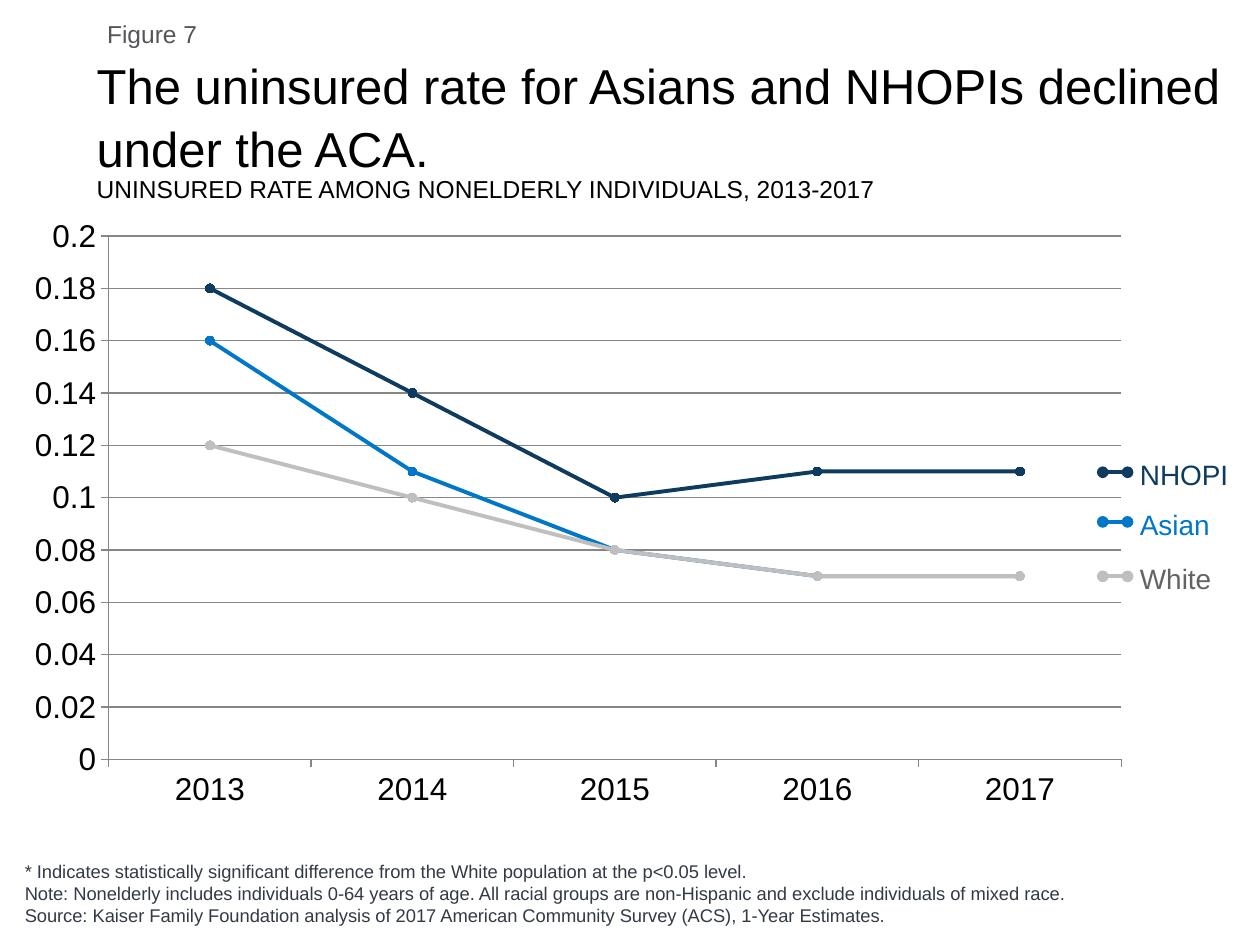
from lxml.etree import SubElement
from pptx import Presentation
from pptx.chart.data import CategoryChartData
from pptx.dml.color import RGBColor
from pptx.enum.chart import XL_CHART_TYPE, XL_MARKER_STYLE, XL_TICK_MARK
from pptx.enum.shapes import MSO_CONNECTOR
from pptx.enum.text import MSO_ANCHOR
from pptx.oxml.ns import qn
from pptx.util import Cm, Pt

FONT = "Arial"
COLORS = {
    "text": "000000", "figure": "55565A", "notes": "323A45", "axis": "868686",
    "asian": "0077C8", "nhopi": "0E3B5E", "white": "BFBFBF", "white_label": "636363",
}
YEARS = ["2013", "2014", "2015", "2016", "2017"]
SERIES = [
    ("Series 1", "asian", [0.16, 0.11, 0.08, 0.07, 0.07]),
    ("Series 2", "nhopi", [0.18, 0.14, 0.1, 0.11, 0.11]),
    ("Series 3", "white", [0.12, 0.1, 0.08, 0.07, 0.07]),
]
# Label, line colour, label colour, line height within the key, label width
KEY = [
    ("NHOPI", "nhopi", "nhopi", 0.42, 2.54),
    ("Asian", "asian", "asian", 1.42, 2.06),
    ("White", "white", "white_label", 2.52, 2.34),
]
NOTES = [
    "* Indicates statistically significant difference from the White population at the p<0.05 level.",
    "Note: Nonelderly includes individuals 0-64 years of age. All racial groups are non-Hispanic "
    "and exclude individuals of mixed race.",
    "Source: Kaiser Family Foundation analysis of 2017 American Community Survey (ACS), "
    "1-Year Estimates.",
]


def rgb(name):
    return RGBColor.from_string(COLORS[name])


def add_text(slide, box, lines, size, color, anchor=MSO_ANCHOR.TOP, spacing=1.0):
    shape = slide.shapes.add_textbox(*(Cm(value) for value in box))
    frame = shape.text_frame
    frame.word_wrap = True
    frame.vertical_anchor = anchor
    for index, line in enumerate(lines):
        paragraph = frame.add_paragraph() if index else frame.paragraphs[0]
        paragraph.line_spacing = spacing
        run = paragraph.add_run()
        run.text = line
        run.font.name = FONT
        run.font.size = Pt(size)
        run.font.color.rgb = rgb(color)


def add_header(slide, left, top):
    add_text(slide, (left + 0.21, top, 23.24, 0.86), ["Figure 7"], 14, "figure")
    add_text(slide, (left, top + 0.66, 23.44, 2.54),
             ["The uninsured rate for Asians and NHOPIs declined under the ACA."],
             28, "text", spacing=1.07)
    add_text(slide, (left, top + 3.13, 22.02, 0.86),
             ["UNINSURED RATE AMONG NONELDERLY INDIVIDUALS, 2013-2017"], 14, "text")


def set_plot_layout(chart, **fractions):
    """Fix the inner plot area as fractions of the chart."""
    plot_area = chart._chartSpace.chart.plotArea
    for old in plot_area.findall(qn("c:layout")):
        plot_area.remove(old)
    layout = SubElement(plot_area, qn("c:layout"))
    plot_area.insert(0, layout)
    manual = SubElement(layout, qn("c:manualLayout"))
    settings = {"layoutTarget": "inner", "xMode": "edge", "yMode": "edge", **fractions}
    for tag, value in settings.items():
        SubElement(manual, qn(f"c:{tag}")).set("val", str(value))


def style_line(line, color, width):
    line.color.rgb = rgb(color)
    line.width = Pt(width)


def add_rate_chart(slide, box):
    data = CategoryChartData()
    data.categories = YEARS
    for name, _, values in SERIES:
        data.add_series(name, values)
    chart = slide.shapes.add_chart(
        XL_CHART_TYPE.LINE_MARKERS, *(Cm(value) for value in box), data).chart
    chart.has_legend = False
    chart.has_title = False
    chart.font.name = FONT
    chart.font.size = Pt(18)
    chart.font.color.rgb = rgb("text")
    set_plot_layout(chart, x=0.085, y=0.05, w=0.895, h=0.853)

    for axis in (chart.category_axis, chart.value_axis):
        axis.major_tick_mark = XL_TICK_MARK.OUTSIDE
        axis.minor_tick_mark = XL_TICK_MARK.NONE
        style_line(axis.format.line, "axis", 0.75)
    value_axis = chart.value_axis
    value_axis.minimum_scale = 0
    value_axis.maximum_scale = 0.2
    value_axis.major_unit = 0.02
    value_axis.has_major_gridlines = True
    style_line(value_axis.major_gridlines.format.line, "axis", 0.75)
    value_axis.tick_labels.number_format = "General"
    value_axis.tick_labels.number_format_is_linked = False

    plot = chart.plots[0]
    plot.vary_by_categories = False
    for series, (_, color, _) in zip(plot.series, SERIES):
        series.smooth = False
        style_line(series.format.line, color, 2.25)
        marker = series.marker
        marker.style = XL_MARKER_STYLE.CIRCLE
        marker.size = 5
        marker.format.fill.solid()
        marker.format.fill.fore_color.rgb = rgb(color)
        style_line(marker.format.line, color, 0.75)


def add_key(slide, left, top):
    line_length = 0.5
    for label, line_color, label_color, offset, width in KEY:
        y = Cm(top + offset)
        connector = slide.shapes.add_connector(
            MSO_CONNECTOR.STRAIGHT, Cm(left), y, Cm(left + line_length), y)
        style_line(connector.line, line_color, 2.25)
        outline = connector.line._get_or_add_ln()
        for end in ("a:headEnd", "a:tailEnd"):
            SubElement(outline, qn(end)).set("type", "oval")
        SubElement(connector._element.spPr, qn("a:effectLst"))
        add_text(slide, (left + line_length, top + offset - 0.42, width, 0.94),
                 [label], 16, label_color)


def main():
    presentation = Presentation()
    presentation.slide_width = Cm(25.4)
    presentation.slide_height = Cm(19.05)
    slide = presentation.slides.add_slide(presentation.slide_layouts[6])
    add_header(slide, 1.7, 0.25)
    add_text(slide, (0.25, 17.27, 22.81, 1.52), NOTES, 10.5, "notes", MSO_ANCHOR.BOTTOM)
    add_rate_chart(slide, (0.25, 4.14, 22.81, 12.37))
    add_key(slide, 22.23, 9.1)
    presentation.save("out.pptx")


if __name__ == "__main__":
    main()
